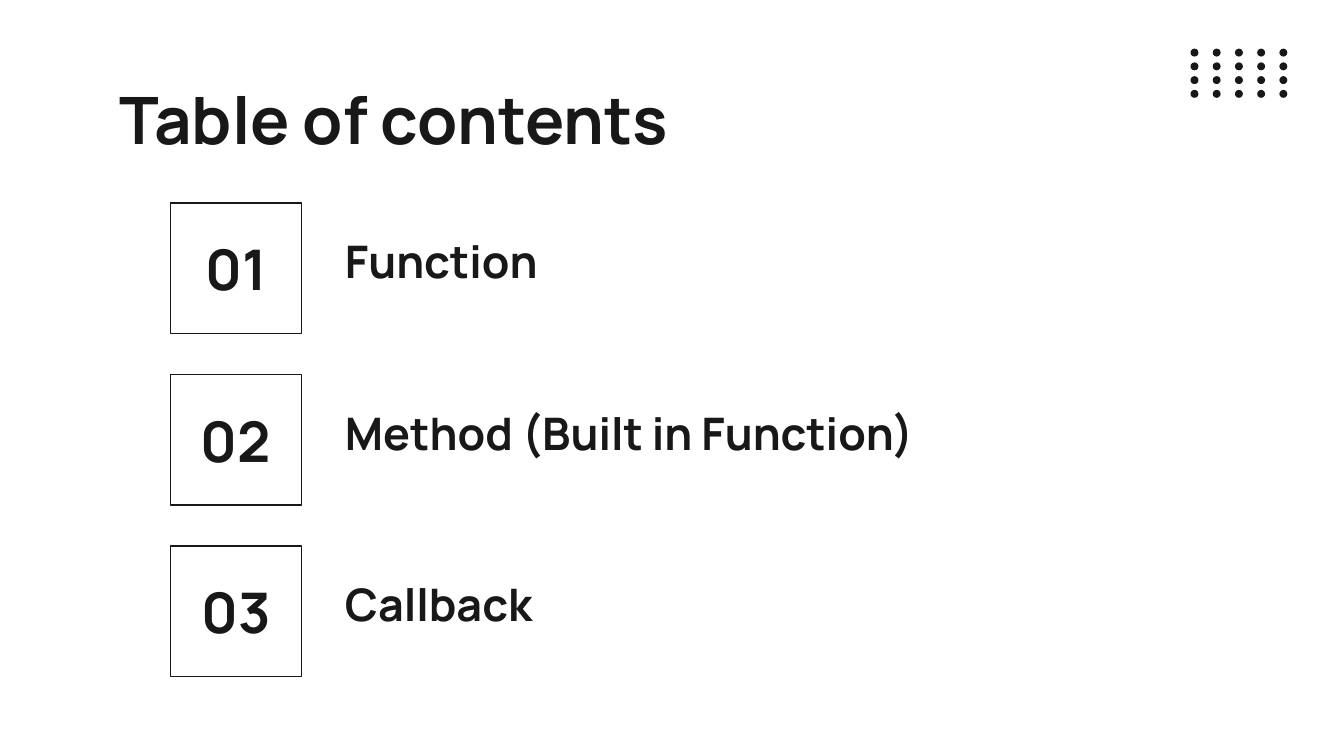
import pptx
import pptx.util
import pptx.dml.color
import pptx.enum.shapes
import pptx.enum.text

Cm = pptx.util.Cm
SHAPE = pptx.enum.shapes.MSO_SHAPE
ANCHOR = pptx.enum.text.MSO_ANCHOR
ALIGN = pptx.enum.text.PP_ALIGN
INK = "181818"


def color(value):
    return pptx.dml.color.RGBColor.from_string(value)


def write(sp, text, size, anchor, align=ALIGN.LEFT):
    tf = sp.text_frame
    frame = {
        "word_wrap": True,
        "auto_size": pptx.enum.text.MSO_AUTO_SIZE.NONE,
        "vertical_anchor": anchor,
        "margin_left": Cm(0.25),
        "margin_right": Cm(0.25),
        "margin_top": Cm(0.25),
        "margin_bottom": Cm(0.25),
    }
    for name, value in frame.items():
        setattr(tf, name, value)
    p = tf.paragraphs[0]
    p.alignment = align
    p.line_spacing = 1.0
    r = p.add_run()
    r.text = text
    font = {"name": "Manrope", "size": pptx.util.Pt(size), "bold": True}
    for name, value in font.items():
        setattr(r.font, name, value)
    r.font.color.rgb = color(INK)


prs = pptx.Presentation()
prs.slide_width = Cm(25.4)
prs.slide_height = Cm(14.29)
s = prs.slides.add_slide(prs.slide_layouts[5])
s.background.fill.solid()
s.background.fill.fore_color.rgb = color("FFFFFF")

dots = s.shapes.add_group_shape()
for col in range(5):
    for row in range(4):
        sp = dots.shapes.add_shape(
            SHAPE.OVAL, Cm(22.5 + 0.42 * col), Cm(0.92 + 0.26 * row), Cm(0.15), Cm(0.15)
        )
        sp.shadow.inherit = False
        sp.fill.solid()
        sp.fill.fore_color.rgb = color(INK)
        sp.line.fill.background()

title = s.shapes.title
place = {"left": Cm(2), "top": Cm(1.25), "width": Cm(21.4), "height": Cm(1.6)}
for name, value in place.items():
    setattr(title, name, value)
write(title, "Table of contents", 35, ANCHOR.TOP)

topics = ["Function", "Method (Built in Function)", "Callback"]
for i, topic in enumerate(topics):
    top = 3.84 + 3.24 * i
    label = s.shapes.add_textbox(Cm(6.27), Cm(top + 0.38), Cm(15.5), Cm(1.47))
    write(label, topic, 24, ANCHOR.BOTTOM)

    box = s.shapes.add_shape(SHAPE.RECTANGLE, Cm(3.22), Cm(top), Cm(2.48), Cm(2.47))
    box.shadow.inherit = False
    box.fill.background()
    box.line.color.rgb = color(INK)
    box.line.width = pptx.util.Pt(0.75)
    write(box, f"{i + 1:02}", 30, ANCHOR.MIDDLE, ALIGN.CENTER)

prs.save("out.pptx")
